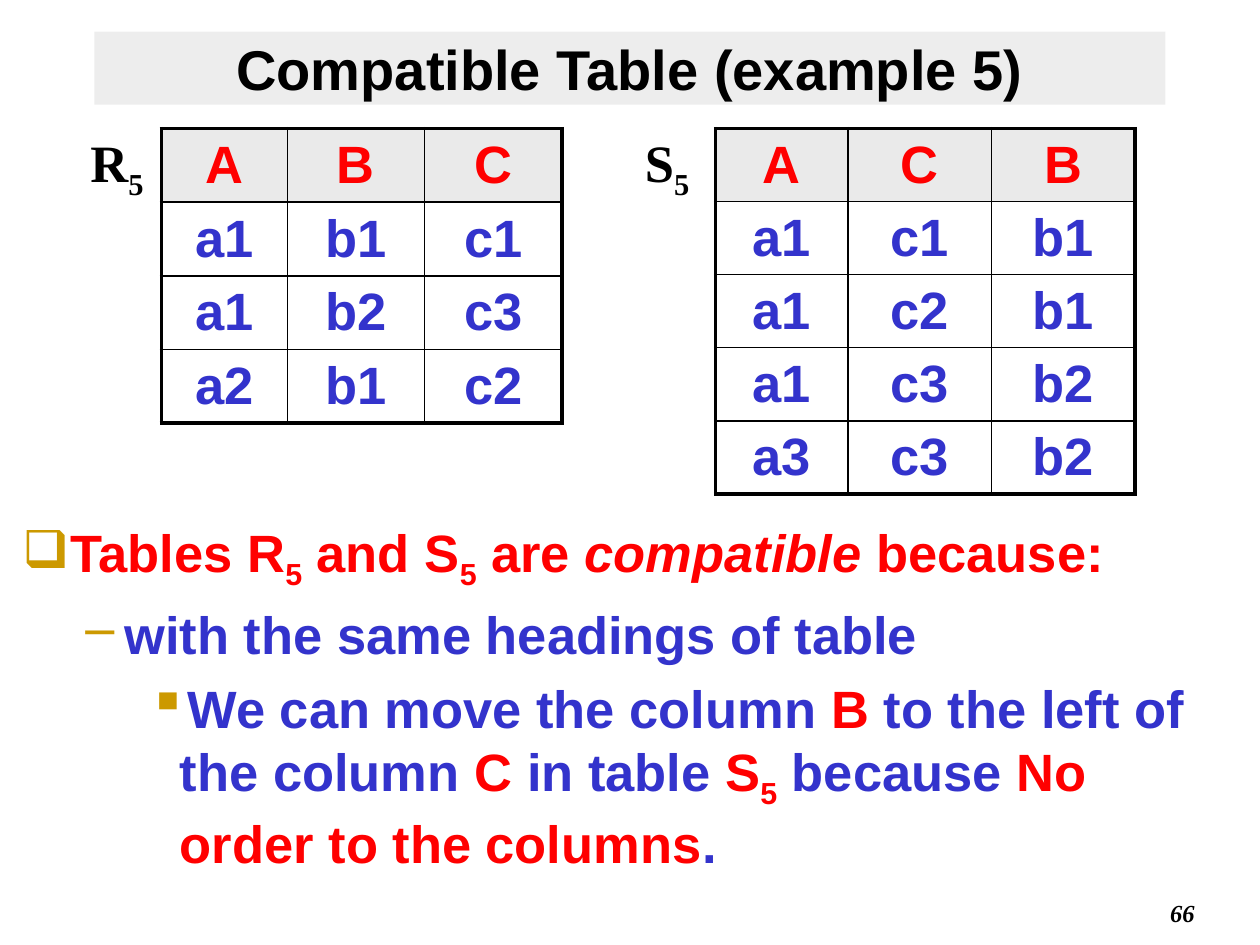
from dataclasses import dataclass

import lxml.etree
import pptx
import pptx.dml.color
import pptx.enum.shapes
import pptx.enum.text
import pptx.oxml.ns
import pptx.util

Inches = pptx.util.Inches
Pt = pptx.util.Pt
RGBColor = pptx.dml.color.RGBColor
Align = pptx.enum.text.PP_ALIGN
Anchor = pptx.enum.text.MSO_ANCHOR
qn = pptx.oxml.ns.qn

BLACK = RGBColor(0x00, 0x00, 0x00)
WHITE = RGBColor(0xFF, 0xFF, 0xFF)
RED = RGBColor(0xFF, 0x00, 0x00)
BLUE = RGBColor(0x33, 0x33, 0xCC)
GOLD = RGBColor(0xCC, 0x99, 0x00)
TITLE_GRAY = RGBColor(0xDD, 0xDD, 0xDD)
HEADER_GRAY = RGBColor(0xEA, 0xEA, 0xEA)

SANS = {"name": "Arial", "size": Pt(30), "bold": True}
SERIF = {"name": "Times New Roman", "size": Pt(30), "bold": True}
TITLE = SANS | {"size": Pt(32)}
PAGE_NUMBER = SERIF | {"size": Pt(14), "italic": True}
CELL_MARGINS = {"margin_left": Inches(0.1), "margin_right": Inches(0.1),
                "margin_top": 0, "margin_bottom": 0}


@dataclass(frozen=True)
class Run:
    text: str
    color: RGBColor
    subscript: bool = False
    italic: bool = False


@dataclass(frozen=True)
class Bullet:
    level: int
    symbol: str
    indent: float
    hanging: float
    runs: tuple[Run, ...]


@dataclass(frozen=True)
class Relation:
    letter: str
    label_left: float
    left: float
    widths: tuple[float, ...]
    row_height: float
    rows: tuple[str, ...]


BULLETS = (
    Bullet(0, "❑", 0.38, 0.38, (
        Run("Tables R", RED), Run("5", RED, subscript=True),
        Run(" and S", RED), Run("5", RED, subscript=True),
        Run(" are ", RED), Run("compatible", RED, italic=True),
        Run(" because:", RED))),
    Bullet(1, "–", 0.81, 0.31, (Run("with the same headings of table", BLUE),)),
    Bullet(2, "▪", 1.25, 0.25, (
        Run("We can move the column ", BLUE), Run("B", RED),
        Run(" to the left of the column ", BLUE), Run("C", RED),
        Run(" in table ", BLUE), Run("S", RED), Run("5", RED, subscript=True),
        Run(" because ", BLUE), Run("No order to the columns", RED),
        Run(".", BLUE))),
)

RELATIONS = (
    Relation("R", 0.62, 1.28, (1, 1.09, 1.09), 0.585,
             ("A B C", "a1 b1 c1", "a1 b2 c3", "a2 b1 c2")),
    Relation("S", 5.02, 5.68, (1.05, 1.14, 1.14), 0.58,
             ("A C B", "a1 c1 b1", "a1 c2 b1", "a1 c3 b2", "a3 c3 b2")),
)


def set_attributes(target, values: dict) -> None:
    for name, value in values.items():
        setattr(target, name, value)


def add_runs(paragraph, runs: tuple[Run, ...], font_values: dict) -> None:
    for item in runs:
        run = paragraph.add_run()
        run.text = item.text
        set_attributes(run.font, font_values)
        run.font.color.rgb = item.color
        if item.italic:
            run.font.italic = True
        if item.subscript:
            run._r.get_or_add_rPr().set("baseline", "-25000")


def add_text_box(slide, left: float, top: float, width: float, height: float):
    box = slide.shapes.add_textbox(Inches(left), Inches(top), Inches(width), Inches(height))
    box.text_frame.word_wrap = True
    return box.text_frame


def add_title(slide, text: str) -> None:
    shape = slide.shapes.add_shape(pptx.enum.shapes.MSO_SHAPE.RECTANGLE,
                                   Inches(0.75), Inches(0.25), Inches(8.5), Inches(0.58))
    shape.shadow.inherit = False
    shape.line.fill.background()
    shape.fill.solid()
    shape.fill.fore_color.rgb = TITLE_GRAY
    color = shape._element.spPr.find(qn("a:solidFill"))[0]
    lxml.etree.SubElement(color, qn("a:alpha"), val="50000")
    shape.text_frame.vertical_anchor = Anchor.MIDDLE
    paragraph = shape.text_frame.paragraphs[0]
    paragraph.alignment = Align.CENTER
    add_runs(paragraph, (Run(text, BLACK),), TITLE)


def add_bullets(slide, bullets: tuple[Bullet, ...]) -> None:
    frame = add_text_box(slide, 0.08, 4.08, 9.72, 3)
    for index, bullet in enumerate(bullets):
        paragraph = frame.add_paragraph() if index else frame.paragraphs[0]
        properties = paragraph._p.get_or_add_pPr()
        properties.set("marL", str(Inches(bullet.indent)))
        properties.set("indent", str(-Inches(bullet.hanging)))
        color = lxml.etree.SubElement(properties, qn("a:buClr"))
        lxml.etree.SubElement(color, qn("a:srgbClr"), val=str(GOLD))
        lxml.etree.SubElement(properties, qn("a:buChar"), char=bullet.symbol)
        paragraph.level = bullet.level
        if index:
            paragraph.space_before = Pt(6)
        add_runs(paragraph, bullet.runs, SANS)


def add_border(cell, side: str, width: float) -> None:
    line = lxml.etree.SubElement(cell._tc.get_or_add_tcPr(), qn(f"a:ln{side}"),
                                 w=str(Pt(width)))
    fill = lxml.etree.SubElement(line, qn("a:solidFill"))
    lxml.etree.SubElement(fill, qn("a:srgbClr"), val=str(BLACK))


def add_relation(slide, relation: Relation) -> None:
    row_count, column_count = len(relation.rows), len(relation.widths)
    table = slide.shapes.add_table(
        row_count, column_count, Inches(relation.left), Inches(1.02),
        Inches(sum(relation.widths)), Inches(relation.row_height * row_count)).table
    set_attributes(table, {"first_row": False, "horz_banding": False})
    for column, width in zip(table.columns, relation.widths):
        column.width = Inches(width)
    for row_index, values in enumerate(relation.rows):
        table.rows[row_index].height = Inches(relation.row_height)
        for column_index, value in enumerate(values.split()):
            cell = table.cell(row_index, column_index)
            outer_sides = {"L": column_index == 0, "R": column_index == column_count - 1,
                           "T": row_index == 0, "B": row_index == row_count - 1}
            for side, outer in outer_sides.items():
                add_border(cell, side, 2.25 if outer else 1)
            cell.fill.solid()
            cell.fill.fore_color.rgb = WHITE if row_index else HEADER_GRAY
            set_attributes(cell, CELL_MARGINS | {"vertical_anchor": Anchor.MIDDLE})
            paragraph = cell.text_frame.paragraphs[0]
            paragraph.alignment = Align.CENTER
            add_runs(paragraph, (Run(value, BLUE if row_index else RED),), SANS)

    label = add_text_box(slide, relation.label_left, 1.03, 0.83, 0.5)
    set_attributes(label, CELL_MARGINS)
    add_runs(label.paragraphs[0],
             (Run(relation.letter, BLACK), Run("5", BLACK, subscript=True)), SERIF)


def add_page_number(slide, number: str) -> None:
    paragraph = add_text_box(slide, 7.5, 7.08, 2.08, 0.33).paragraphs[0]
    paragraph.alignment = Align.RIGHT
    add_runs(paragraph, (Run(number, BLACK),), PAGE_NUMBER)


def main() -> None:
    presentation = pptx.Presentation()
    set_attributes(presentation, {"slide_width": Inches(10), "slide_height": Inches(7.5)})
    slide = presentation.slides.add_slide(presentation.slide_layouts[6])
    add_page_number(slide, "66")
    add_title(slide, "Compatible Table (example 5)")
    add_bullets(slide, BULLETS)
    for relation in RELATIONS:
        add_relation(slide, relation)
    presentation.save("out.pptx")


if __name__ == "__main__":
    main()
